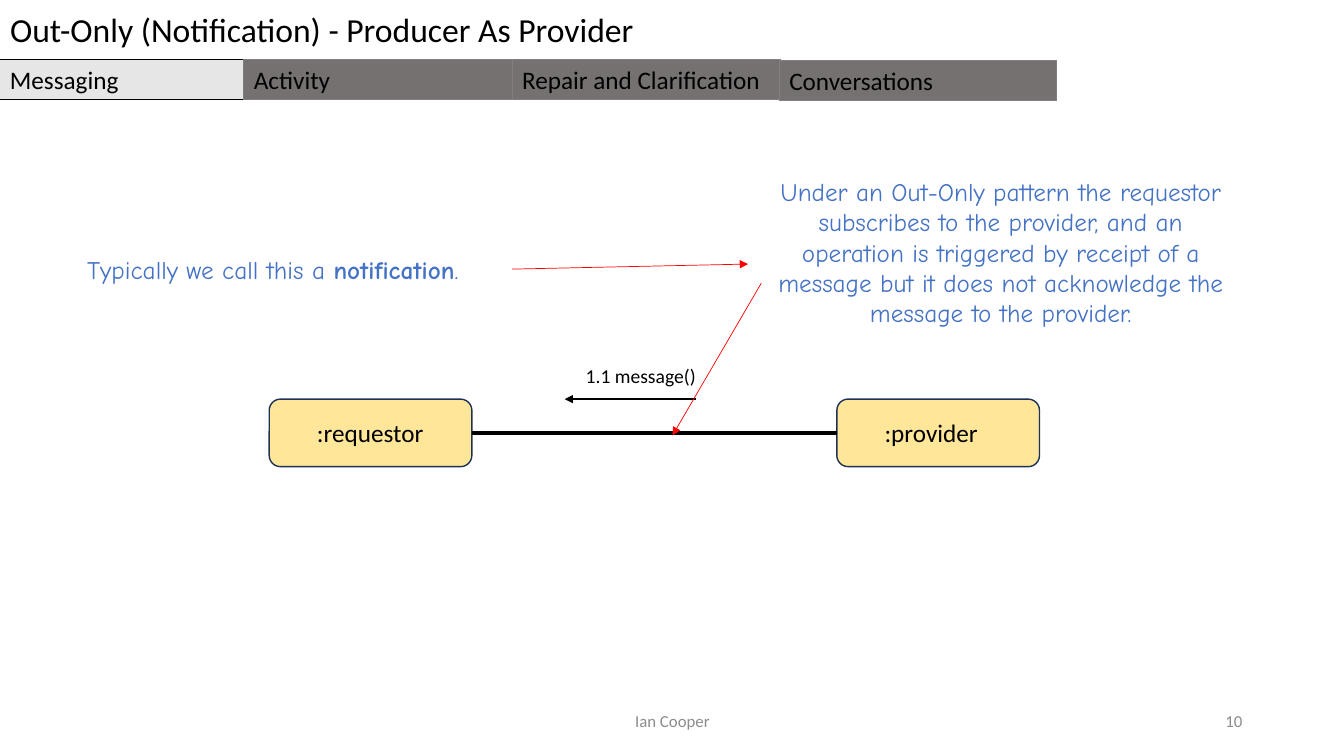
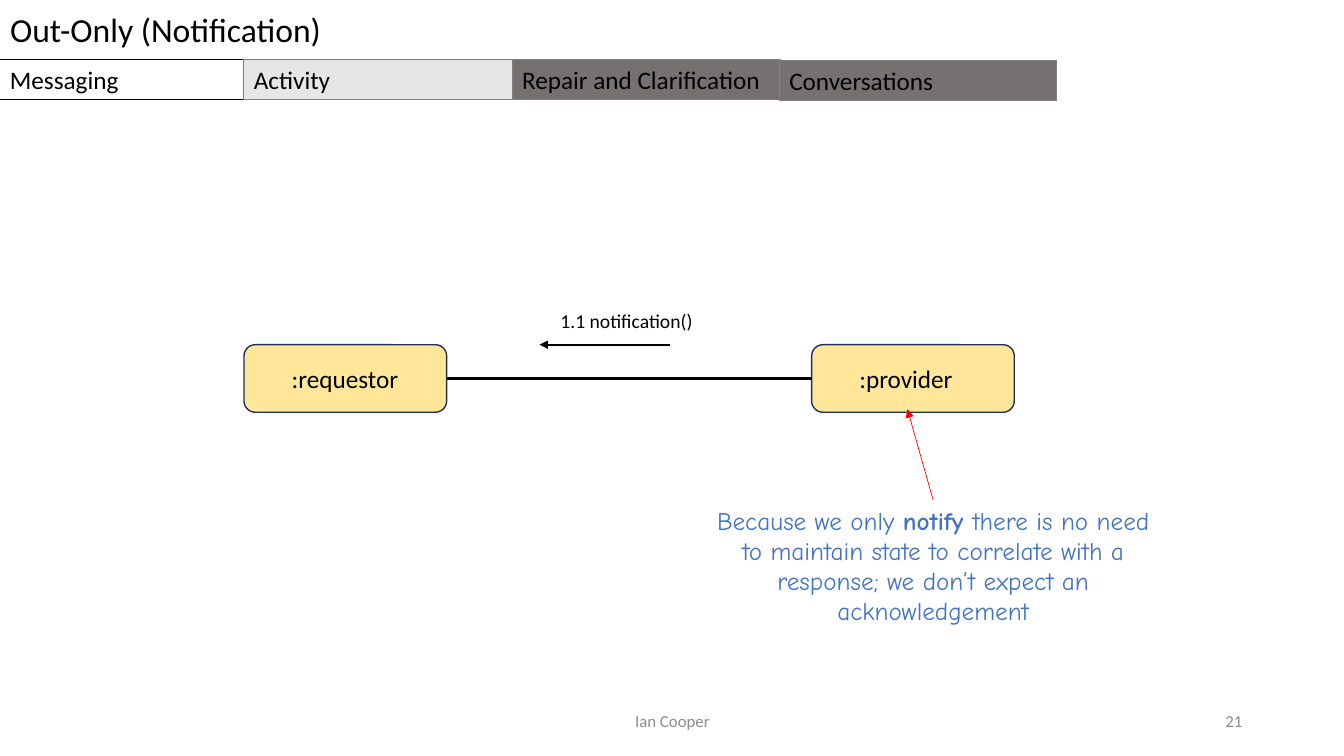
import dataclasses
import typing

import pptx
import pptx.dml.color
import pptx.enum.shapes
import pptx.enum.text
import pptx.oxml.ns
import pptx.util
import lxml.etree

RGBColor = pptx.dml.color.RGBColor
ALIGN = pptx.enum.text.PP_ALIGN
ANCHOR = pptx.enum.text.MSO_ANCHOR
SHAPE = pptx.enum.shapes.MSO_SHAPE

BLACK = RGBColor(0x00, 0x00, 0x00)
WHITE = RGBColor(0xFF, 0xFF, 0xFF)
LIGHT_GREY = RGBColor(0xE7, 0xE6, 0xE6)
DARK_GREY = RGBColor(0x76, 0x71, 0x71)
TAB_EDGE = RGBColor(0x80, 0x80, 0x80)
FOOTER_GREY = RGBColor(0x8C, 0x8C, 0x8C)
YELLOW = RGBColor(0xFF, 0xE6, 0x99)
NAVY = RGBColor(0x1E, 0x32, 0x56)
NOTE_BLUE = RGBColor(0x44, 0x72, 0xC4)
RED = RGBColor(0xFF, 0x00, 0x00)

EMU_PER_PX = 9144
SLIDE_WIDTH, SLIDE_HEIGHT = 1333, 750
TOP, LEFT, RIGHT = 0, 1, 3


class Area(typing.NamedTuple):
    left: int
    top: int
    width: int
    height: int


class Point(typing.NamedTuple):
    x: int
    y: int


class Span(typing.NamedTuple):
    text: str
    bold: bool = False


@dataclasses.dataclass(frozen=True)
class TextStyle:
    size: int
    color: RGBColor = BLACK
    font: str = "Calibri"
    align: ALIGN = ALIGN.LEFT
    anchor: ANCHOR = ANCHOR.TOP


@dataclasses.dataclass(frozen=True)
class Tab:
    name: str
    area: Area
    edge: RGBColor = TAB_EDGE


TITLE = TextStyle(24)
TAB_TEXT = TextStyle(18)
PARTY = TextStyle(18, anchor=ANCHOR.MIDDLE)
MESSAGE = TextStyle(14)
NOTE = TextStyle(18, NOTE_BLUE, "Comic Neue", ALIGN.CENTER)
AUTHOR = TextStyle(12, FOOTER_GREY, align=ALIGN.CENTER, anchor=ANCHOR.MIDDLE)
NUMBER = TextStyle(12, FOOTER_GREY, align=ALIGN.RIGHT, anchor=ANCHOR.MIDDLE)

TABS = (
    Tab("Messaging", Area(0, 59, 243, 40), BLACK),
    Tab("Activity", Area(242, 59, 266, 40)),
    Tab("Repair and Clarification", Area(508, 59, 266, 40)),
    Tab("Conversations", Area(773, 60, 275, 40)),
)


def px(length: int) -> pptx.util.Emu:
    return pptx.util.Emu(length * EMU_PER_PX)


def write(box, style: TextStyle, *spans: Span) -> None:
    frame = box.text_frame
    frame.word_wrap = True
    frame.auto_size = pptx.enum.text.MSO_AUTO_SIZE.NONE
    frame.vertical_anchor = style.anchor
    para = frame.paragraphs[0]
    para.alignment = style.align
    para.font.name = style.font
    para.font.size = pptx.util.Pt(style.size)
    para.font.color.rgb = style.color
    for span in spans:
        run = para.add_run()
        run.text = span.text
        if span.bold:
            run.font.bold = True


def add_text(page, area: Area, style: TextStyle, *spans: Span):
    box = page.shapes.add_textbox(*map(px, area))
    write(box, style, *spans)
    return box


def add_box(page, kind: SHAPE, area: Area, fill: RGBColor, edge: RGBColor,
            weight: float, style: TextStyle, text: str):
    box = page.shapes.add_shape(kind, *map(px, area))
    box.shadow.inherit = False
    box.fill.solid()
    box.fill.fore_color.rgb = fill
    box.line.color.rgb = edge
    box.line.width = pptx.util.Pt(weight)
    write(box, style, Span(text))
    return box


def add_line(page, start: Point, end: Point, color: RGBColor, weight: float,
             arrow: bool = True):
    line = page.shapes.add_connector(
        pptx.enum.shapes.MSO_CONNECTOR.STRAIGHT, *map(px, start + end))
    line.line.color.rgb = color
    line.line.width = pptx.util.Pt(weight)
    qn = pptx.oxml.ns.qn
    if arrow:
        outline = line.get_or_add_ln()
        lxml.etree.SubElement(outline, qn("a:tailEnd"), type="triangle")
    lxml.etree.SubElement(line._element.spPr, qn("a:effectLst"))
    return line


def add_pointer(page, note, side: int, start: Point, end: Point) -> None:
    pointer = add_line(page, start, end, RED, 0.5)
    pointer.begin_connect(note, side)


def add_party(page, left: int, top: int, name: str):
    box = add_box(page, SHAPE.ROUNDED_RECTANGLE, Area(left, top, 201, 67),
                  YELLOW, NAVY, 1, PARTY, name)
    box.text_frame.margin_left = px(44)
    return box


def add_exchange(page, left: int, top: int, message: str) -> None:
    requestor = add_party(page, left, top, ":requestor")
    provider = add_party(page, left + 563, top, ":provider")
    middle = top + 34
    link = add_line(page, Point(left + 201, middle), Point(left + 563, middle),
                    BLACK, 2.5, arrow=False)
    link.begin_connect(requestor, RIGHT)
    link.end_connect(provider, LEFT)
    add_line(page, Point(left + 423, top), Point(left + 293, top), BLACK, 1.5)
    add_text(page, Area(left + 304, top - 40, 155, 34), MESSAGE, Span(message))


def add_page(deck, title: str, number: int, tab_fills: tuple[RGBColor, ...]):
    page = deck.slides.add_slide(deck.slide_layouts.get_by_name("Title Only"))
    heading = page.shapes.title
    heading.left, heading.top, heading.width, heading.height = map(
        px, Area(0, -1, SLIDE_WIDTH, 61))
    heading.fill.solid()
    heading.fill.fore_color.rgb = WHITE
    frame = heading.text_frame
    frame.margin_left = frame.margin_right = px(10)
    frame.margin_top = frame.margin_bottom = px(10)
    write(heading, TITLE, Span(title))
    for tab, fill in zip(TABS, tab_fills):
        add_box(page, SHAPE.RECTANGLE, tab.area, fill, tab.edge, 0.75,
                TAB_TEXT, tab.name)
    add_text(page, Area(442, 695, 450, 40), AUTHOR, Span("Ian Cooper"))
    add_text(page, Area(942, 695, 300, 40), NUMBER, Span(str(number)))
    return page


def build_producer_page(deck) -> None:
    page = add_page(deck, "Out-Only (Notification) - Producer As Provider", 10,
                    (LIGHT_GREY, DARK_GREY, DARK_GREY, DARK_GREY))
    add_exchange(page, 267, 396, "1.1 message()")
    pattern = add_text(
        page, Area(755, 170, 475, 222), NOTE,
        Span("Under an Out-Only pattern the requestor subscribes to the "
             "provider, and an operation is triggered by receipt of a message "
             "but it does not acknowledge the message to the provider."))
    add_pointer(page, pattern, LEFT, Point(755, 281), Point(667, 432))
    naming = add_text(page, Area(33, 247, 475, 40), NOTE,
                      Span("Typically we call this a "),
                      Span("notification", True), Span("."))
    add_pointer(page, naming, RIGHT, Point(508, 267), Point(742, 262))


def build_notification_page(deck) -> None:
    page = add_page(deck, "Out-Only (Notification)", 21,
                    (WHITE, LIGHT_GREY, DARK_GREY, DARK_GREY))
    add_exchange(page, 242, 342, "1.1 notification()")
    state = add_text(
        page, Area(688, 496, 475, 131), NOTE,
        Span("Because we only "), Span("notify ", True),
        Span("there is no need to maintain state to correlate with a "
             "response; we don’t expect an acknowledgement"))
    add_pointer(page, state, TOP, Point(926, 496), Point(900, 406))


def main() -> None:
    deck = pptx.Presentation()
    deck.slide_width, deck.slide_height = px(SLIDE_WIDTH), px(SLIDE_HEIGHT)
    build_producer_page(deck)
    build_notification_page(deck)
    deck.save("out.pptx")


if __name__ == "__main__":
    main()
